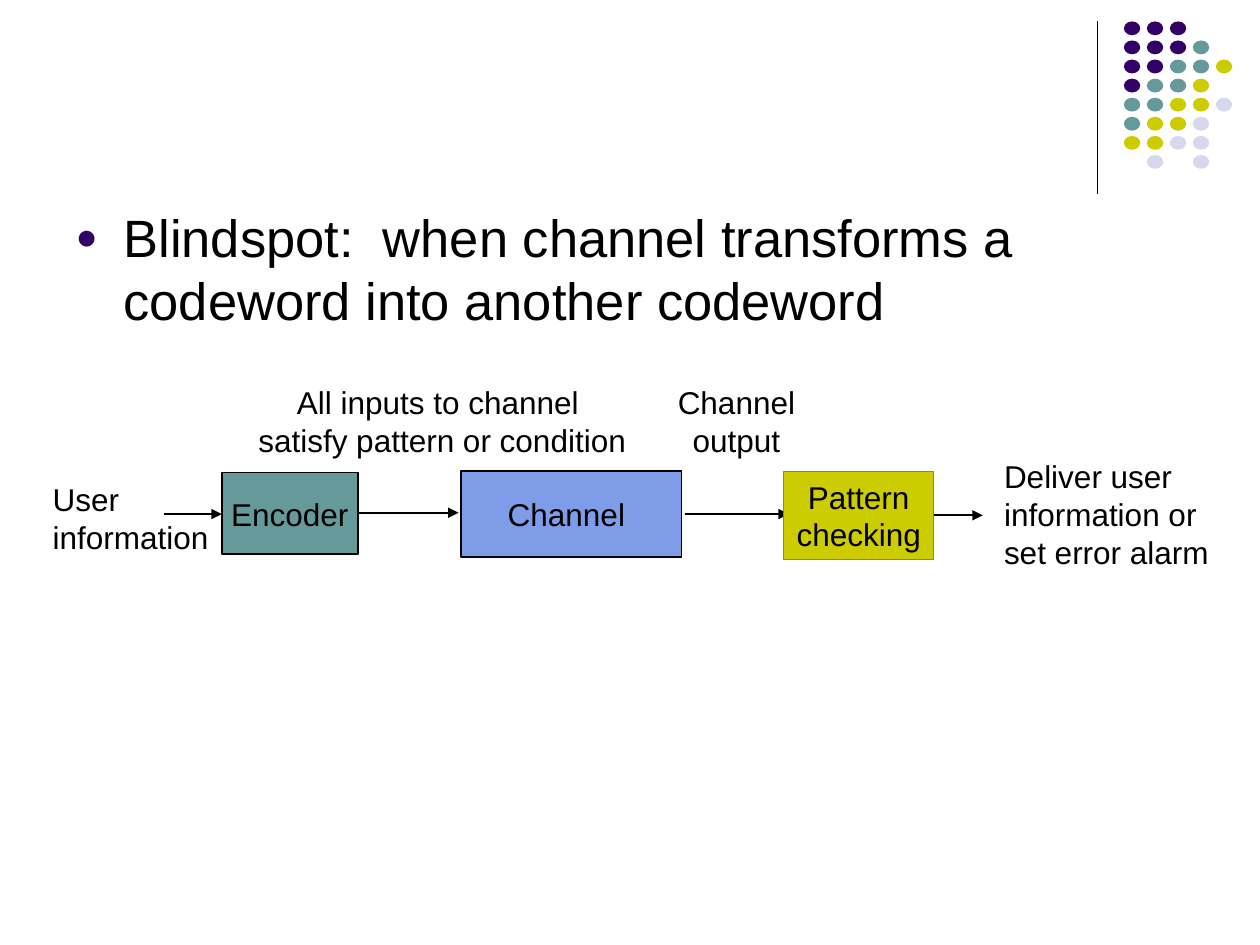
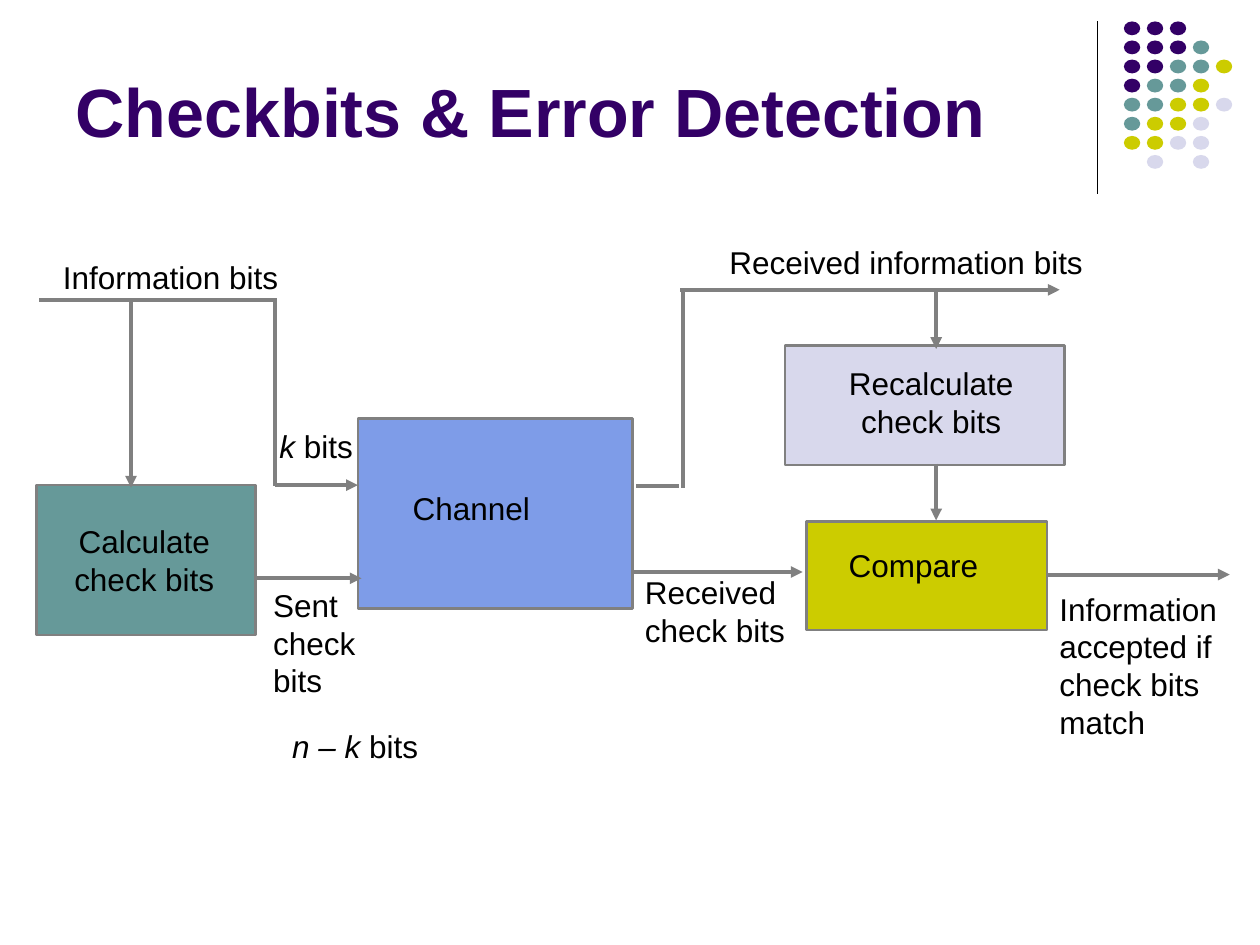
"""Build two slides on error detection with block diagrams."""
from dataclasses import dataclass

from lxml import etree
from pptx import Presentation
from pptx.dml.color import RGBColor
from pptx.enum.shapes import MSO_CONNECTOR, MSO_SHAPE
from pptx.enum.text import MSO_ANCHOR, MSO_AUTO_SIZE, PP_ALIGN
from pptx.oxml.ns import qn
from pptx.util import Inches, Pt

STRAIGHT = MSO_CONNECTOR.STRAIGHT
RECTANGLE, OVAL = MSO_SHAPE.RECTANGLE, MSO_SHAPE.OVAL
MIDDLE, BOTTOM, TOP = MSO_ANCHOR.MIDDLE, MSO_ANCHOR.BOTTOM, MSO_ANCHOR.TOP
LEFT, CENTER = PP_ALIGN.LEFT, PP_ALIGN.CENTER
NO_AUTOFIT = MSO_AUTO_SIZE.NONE
TITLE_AND_CONTENT, TITLE_ONLY = 1, 5


@dataclass(frozen=True)
class Theme:
    """Colours, font and point sizes shared by the slides."""

    purple: str = "330066"
    teal: str = "669999"
    olive: str = "CCCC00"
    lavender: str = "D8D8EC"
    blue: str = "7E9CE8"
    gray: str = "808080"
    black: str = "000000"
    font: str = "Arial"
    title_size: float = 39
    body_size: float = 30
    label_size: float = 18


THEME = Theme()
DOT_COLORS = {"P": THEME.purple, "T": THEME.teal, "O": THEME.olive, "L": THEME.lavender}
DOT_ROWS = ("PPP", "PPPT", "PPTTO", "PTTO", "TTOOL", "TOOL", "OOLL", ".L.L")


def color(value):
    """Return an RGB colour from its hexadecimal text."""
    return RGBColor.from_string(value)


def apply_format(target, values):
    """Set each named attribute on the target."""
    for name, value in values.items():
        setattr(target, name, value)


def place(shape, left, top, width, height):
    """Move and size a shape, in inches."""
    names = ("left", "top", "width", "height")
    apply_format(shape, dict(zip(names, map(Inches, (left, top, width, height)))))


def add_run(paragraph, text, size=THEME.label_size, ink=THEME.black, **font_format):
    """Append formatted text to a paragraph."""
    run = paragraph.add_run()
    run.text = text
    apply_format(run.font, {"name": THEME.font, "size": Pt(size), **font_format})
    run.font.color.rgb = color(ink)


def write_lines(frame, lines, align):
    """Write one paragraph per line."""
    for index, line in enumerate(lines.split("\n")):
        paragraph = frame.add_paragraph() if index else frame.paragraphs[0]
        paragraph.alignment = align
        add_run(paragraph, line)


def add_box(slide, bounds, text, fill, outline=THEME.gray, weight=1.5, **margins):
    """Add a captioned block; margins shift its caption."""
    box = slide.shapes.add_shape(RECTANGLE, *map(Inches, bounds))
    box.shadow.inherit = False
    box.fill.solid()
    box.fill.fore_color.rgb = color(fill)
    box.line.color.rgb = color(outline)
    box.line.width = Pt(weight)
    frame = box.text_frame
    apply_format(frame, {"word_wrap": True, "vertical_anchor": MIDDLE})
    for side in ("left", "right", "top", "bottom"):
        setattr(frame, f"margin_{side}", Inches(margins.get(side, 0.05)))
    write_lines(frame, text, CENTER)


def add_text_frame(slide, bounds, wrap=True):
    """Add a text box and return its text frame."""
    frame = slide.shapes.add_textbox(*map(Inches, bounds)).text_frame
    frame.word_wrap = wrap
    return frame


def add_label(slide, bounds, text, align=LEFT, wrap=True):
    """Add a plain text label."""
    write_lines(add_text_frame(slide, bounds, wrap), text, align)


def add_bit_count(slide, bounds, symbol):
    """Add a label with an italic symbol before the word bits."""
    paragraph = add_text_frame(slide, bounds, wrap=False).paragraphs[0]
    add_run(paragraph, symbol, italic=True)
    add_run(paragraph, " bits")


def add_line(slide, start, end, ink=THEME.gray, weight=2.25, arrow=True):
    """Add a straight line, with an arrowhead at its end if wanted."""
    line = slide.shapes.add_connector(STRAIGHT, *map(Inches, (*start, *end)))
    line.line.color.rgb = color(ink)
    line.line.width = Pt(weight)
    properties = line.element.spPr
    if arrow:
        etree.SubElement(properties.find(qn("a:ln")), qn("a:tailEnd"), type="triangle")
    etree.SubElement(properties, qn("a:effectLst"))
    return line


def add_dots(slide):
    """Add the corner grid of coloured dots as a group."""
    group = slide.shapes.add_group_shape()
    for row, codes in enumerate(DOT_ROWS):
        for column, code in enumerate(codes):
            if code not in DOT_COLORS:
                continue
            bounds = (8.92 + column * 0.73 / 4, 0.17 + row * 1.06 / 7, 0.13, 0.11)
            dot = group.shapes.add_shape(OVAL, *map(Inches, bounds))
            dot.shadow.inherit = False
            dot.fill.solid()
            dot.fill.fore_color.rgb = color(DOT_COLORS[code])
            dot.line.fill.background()
    return group


def decorate_master(presentation, slide):
    """Draw the corner decoration and move it to the slide master."""
    rule = add_line(slide, (8.71, 0.17), (8.71, 1.54), THEME.black, 0.75, arrow=False)
    master_tree = presentation.slide_master.element.cSld.spTree
    for shape in (rule, add_dots(slide)):
        master_tree.append(shape.element)


def set_title(slide, text):
    """Fill and format the title placeholder."""
    title = slide.shapes.title
    place(title, 0.5, 0.13, 8.25, 1.12)
    apply_format(title.text_frame, {"vertical_anchor": BOTTOM, "auto_size": NO_AUTOFIT})
    paragraph = title.text_frame.paragraphs[0]
    paragraph.alignment = LEFT
    add_run(paragraph, text, THEME.title_size, THEME.purple, bold=True)


def set_bullet(slide, text):
    """Fill the body placeholder with one bulleted paragraph."""
    body = slide.placeholders[1]
    place(body, 0.5, 1.58, 9, 5.12)
    apply_format(body.text_frame, {"vertical_anchor": TOP, "auto_size": NO_AUTOFIT})
    paragraph = body.text_frame.paragraphs[0]
    paragraph.space_before = Pt(7.5)
    add_run(paragraph, text, THEME.body_size)
    properties = paragraph._p.get_or_add_pPr()
    indents = {"marL": Inches(0.38), "indent": Inches(-0.38)}
    for name, value in indents.items():
        properties.set(name, str(value))
    bullet_color = etree.SubElement(properties, qn("a:buClr"))
    etree.SubElement(bullet_color, qn("a:srgbClr"), val=THEME.purple)
    etree.SubElement(properties, qn("a:buSzPct"), val="70000")
    etree.SubElement(properties, qn("a:buFont"), typeface=THEME.font)
    etree.SubElement(properties, qn("a:buChar"), char="●")


def build_blindspot(presentation):
    """Build the slide on the channel blindspot."""
    layout = presentation.slide_layouts[TITLE_AND_CONTENT]
    slide = presentation.slides.add_slide(layout)
    title = slide.shapes.title.element
    title.getparent().remove(title)
    set_bullet(slide, "Blindspot:  when channel transforms a codeword into another codeword")

    for start, end, y in ((1.3, 1.76, 4.08), (2.82, 3.64, 4.07), (5.44, 6.26, 4.08), (7.34, 7.8, 4.09)):
        add_line(slide, (start, y), (end, y), THEME.black, 1)
    add_box(slide, (1.76, 3.75, 1.08, 0.65), "Encoder", THEME.teal, THEME.black, 1)
    add_box(slide, (3.66, 3.74, 1.75, 0.68), "Channel", THEME.blue, THEME.black, 1, right=0.13)
    add_box(slide, (6.22, 3.74, 1.19, 0.7), "Pattern\nchecking", THEME.olive, weight=0.75)

    add_label(slide, (0.32, 3.76, 1.44, 0.7), "User\ninformation", wrap=False)
    add_label(slide, (1.88, 2.99, 3.19, 0.7),
              "All inputs to channel\n satisfy pattern or condition", CENTER, wrap=False)
    add_label(slide, (5.28, 2.99, 1.13, 0.7), "Channel\noutput", CENTER, wrap=False)
    add_label(slide, (7.87, 3.58, 1.88, 1), "Deliver user\ninformation or\nset error alarm")


def build_checkbits(presentation):
    """Build the slide on check bits and return it."""
    slide = presentation.slides.add_slide(presentation.slide_layouts[TITLE_ONLY])
    set_title(slide, "Checkbits & Error Detection")

    add_box(slide, (0.29, 3.85, 1.74, 1.19), "Calculate check bits", THEME.teal, right=0.08)
    add_box(slide, (2.84, 3.32, 2.18, 1.51), "Channel", THEME.blue, right=0.43, bottom=0.14)
    add_box(slide, (6.23, 2.74, 2.22, 0.95), "Recalculate check bits", THEME.lavender,
            left=0.3, right=0.2, bottom=0.1)
    add_box(slide, (6.4, 4.14, 1.91, 0.86), "Compare", THEME.olive, right=0.26, bottom=0.23)

    plain_lines = (
        ((0.31, 2.38), (2.2, 2.38)),
        ((2.18, 2.38), (2.18, 3.86)),
        ((5.05, 3.86), (5.39, 3.86)),
        ((5.42, 3.87), (5.42, 2.3)),
    )
    arrows = (
        ((1.04, 2.38), (1.04, 3.87)),
        ((2.03, 4.59), (2.87, 4.59)),
        ((2.18, 3.85), (2.84, 3.85)),
        ((5.02, 4.54), (6.37, 4.54)),
        ((7.43, 3.68), (7.43, 4.13)),
        ((5.4, 2.3), (8.41, 2.3)),
        ((7.43, 2.31), (7.43, 2.77)),
        ((8.31, 4.56), (9.76, 4.56)),
    )
    for lines, has_arrow in ((plain_lines, False), (arrows, True)):
        for start, end in lines:
            add_line(slide, start, end, arrow=has_arrow)

    labels = (
        ((0.4, 2, 2.25, 0.4), "Information bits"),
        ((5.69, 1.88, 3.43, 0.4), "Received information bits"),
        ((2.07, 4.6, 1.01, 1), "Sent check\nbits"),
        ((8.31, 4.63, 1.85, 1.3), "Information accepted if check bits match"),
        ((5.02, 4.5, 1.56, 0.7), "Received check bits"),
    )
    for bounds, text in labels:
        add_label(slide, bounds, text)
    add_bit_count(slide, (2.12, 3.34, 0.9, 0.4), "k")
    add_bit_count(slide, (2.22, 5.72, 1.3, 0.4), "n – k")
    return slide


def main():
    """Build and save the presentation."""
    presentation = Presentation()
    presentation.slide_width, presentation.slide_height = Inches(10), Inches(7.5)
    build_blindspot(presentation)
    checkbits_slide = build_checkbits(presentation)
    decorate_master(presentation, checkbits_slide)
    presentation.save("out.pptx")


if __name__ == "__main__":
    main()
